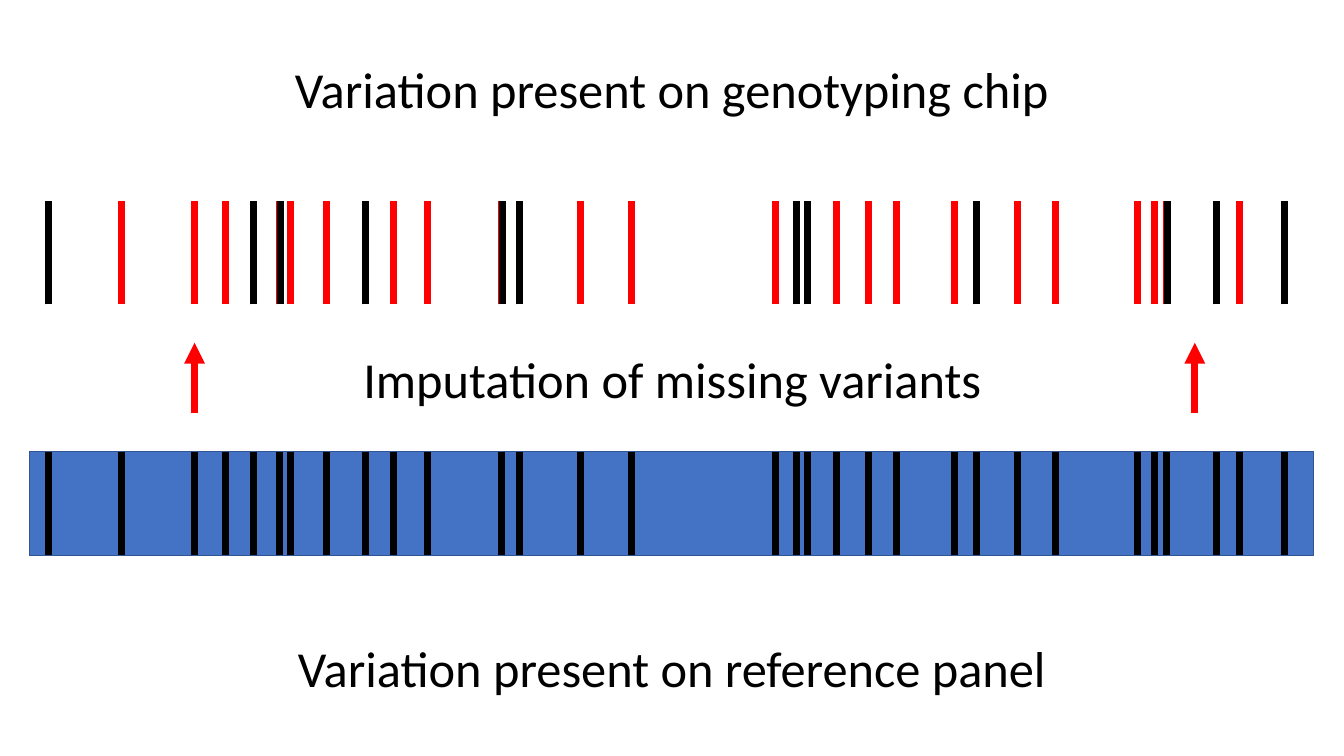
import dataclasses

import lxml.etree
import pptx
import pptx.dml.color
import pptx.enum.shapes
import pptx.enum.text
import pptx.oxml.ns
import pptx.util

PX = 9144

REFERENCE_VARIANTS = [
    19, 92, 164, 195, 222, 248, 259, 295, 334, 361, 395, 468, 486, 547, 597, 740,
    761, 772, 801, 832, 860, 918, 940, 980, 1018, 1099, 1116, 1128, 1178, 1200, 1245,
]
CHIP_VARIANTS = [19, 222, 249, 334, 469, 486, 761, 772, 940, 1129, 1178, 1245]
ARROW_OFFSETS = [164, 1156]


@dataclasses.dataclass(frozen=True)
class Theme:
    ink: str = "000000"
    imputed: str = "FF0000"
    panel: str = "4472C4"
    panel_edge: str = "325491"
    font: str = "Calibri"
    caption_size: int = 36
    stroke: int = 5
    edge: int = 1


@dataclasses.dataclass(frozen=True)
class Box:
    left: int
    top: int
    width: int
    height: int

    def emu(self):
        return [value * PX for value in (self.left, self.top, self.width, self.height)]


THEME = Theme()


def color(value):
    return pptx.dml.color.RGBColor.from_string(value)


def add_caption(page, box, text):
    shape = page.shapes.add_textbox(*box.emu())
    frame = shape.text_frame
    frame.word_wrap = False
    frame.auto_size = pptx.enum.text.MSO_AUTO_SIZE.SHAPE_TO_FIT_TEXT
    para = frame.paragraphs[0]
    para.text = text
    para.alignment = pptx.enum.text.PP_ALIGN.CENTER
    para.font.name = THEME.font
    para.font.size = pptx.util.Pt(THEME.caption_size)
    para.font.color.rgb = color(THEME.ink)


def add_upright(page, box, offset, stroke_color):
    x = (box.left + offset) * PX
    line = page.shapes.add_connector(
        pptx.enum.shapes.MSO_CONNECTOR.STRAIGHT,
        x, (box.top + box.height) * PX, x, box.top * PX,
    )
    line.line.color.rgb = color(stroke_color)
    line.line.width = pptx.util.Pt(THEME.stroke)
    properties = line._element.spPr
    lxml.etree.SubElement(properties, pptx.oxml.ns.qn("a:effectLst"))
    return line


def add_variants(page, box, offsets, stroke_color):
    for offset in offsets:
        add_upright(page, box, offset, stroke_color)


def add_reference_panel(page, box):
    panel = page.shapes.add_shape(pptx.enum.shapes.MSO_SHAPE.RECTANGLE, *box.emu())
    panel.shadow.inherit = False
    panel.fill.solid()
    panel.fill.fore_color.rgb = color(THEME.panel)
    panel.line.color.rgb = color(THEME.panel_edge)
    panel.line.width = pptx.util.Pt(THEME.edge)
    add_variants(page, box, REFERENCE_VARIANTS, THEME.ink)
    add_caption(page, Box(box.left + 253, box.top + 179, 769, 71),
                "Variation present on reference panel")


def add_genotyping_chip(page, box):
    add_caption(page, Box(box.left + 250, box.top - 146, 775, 71),
                "Variation present on genotyping chip")
    add_variants(page, box, REFERENCE_VARIANTS, THEME.imputed)
    add_variants(page, box, CHIP_VARIANTS, THEME.ink)


def add_imputation(page, box):
    add_caption(page, Box(box.left + 318, box.top, 640, 71),
                "Imputation of missing variants")
    for offset in ARROW_OFFSETS:
        arrow = add_upright(page, box, offset, THEME.imputed)
        outline = arrow.line._get_or_add_ln()
        lxml.etree.SubElement(outline, pptx.oxml.ns.qn("a:tailEnd"), type="triangle")


def main():
    deck = pptx.Presentation()
    deck.slide_width = 1333 * PX
    deck.slide_height = 750 * PX
    page = deck.slides.add_slide(deck.slide_layouts[6])
    add_reference_panel(page, Box(29, 448, 1274, 103))
    add_genotyping_chip(page, Box(29, 199, 1274, 103))
    add_imputation(page, Box(29, 340, 1274, 70))
    deck.save("out.pptx")


if __name__ == "__main__":
    main()
